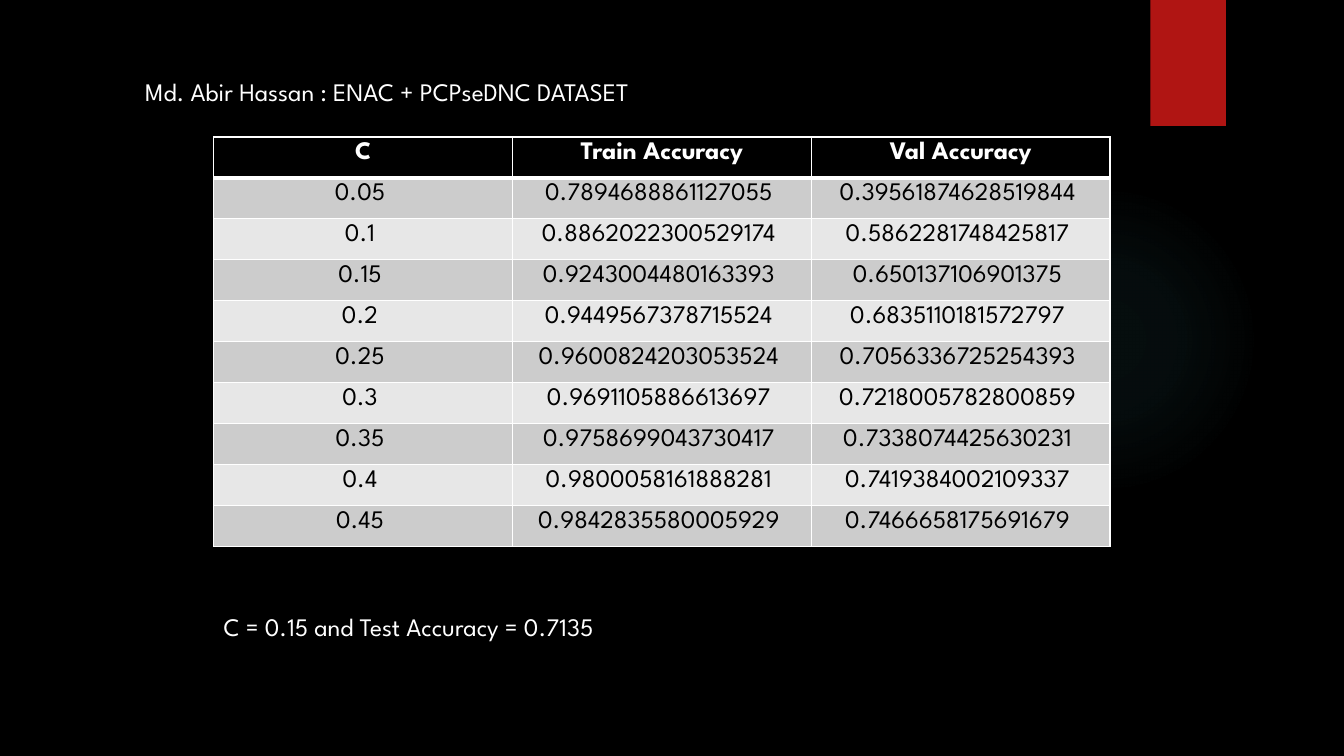
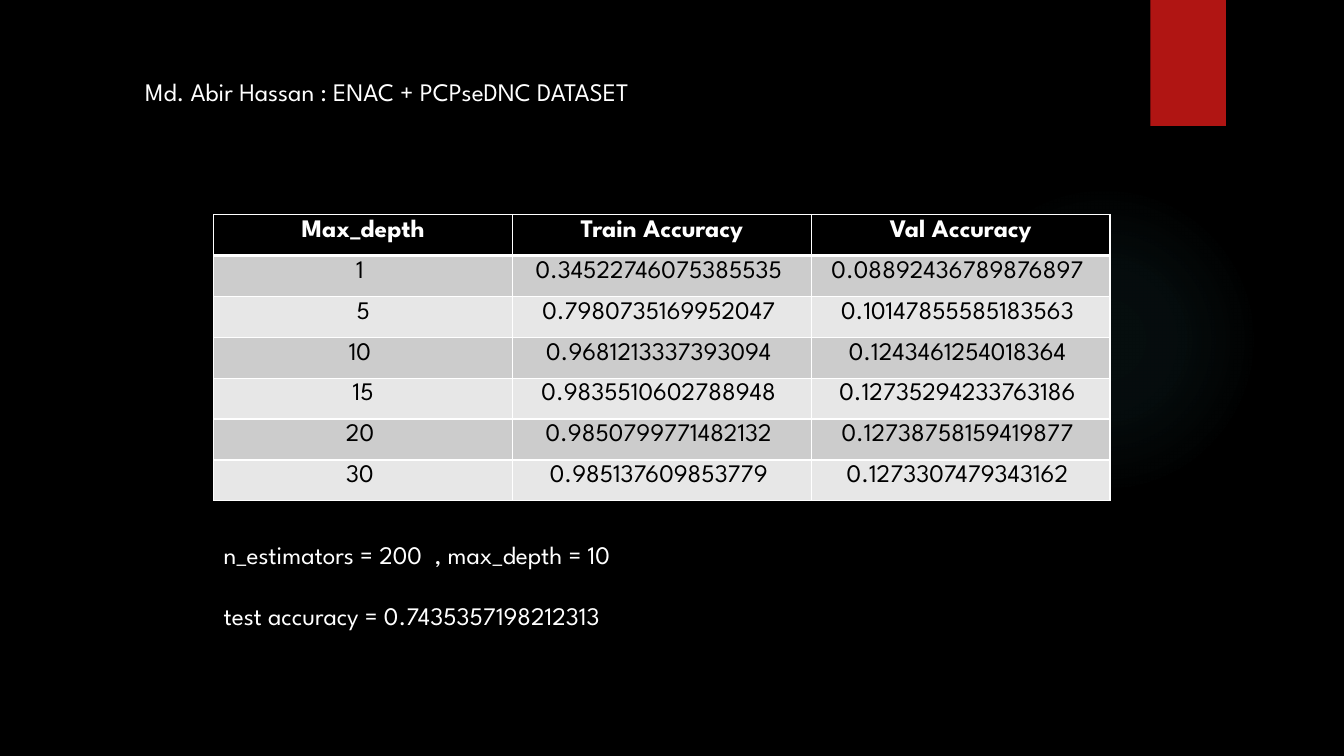
from pptx import Presentation
from pptx import util as u
from pptx.dml.color import RGBColor
from pptx.enum import shapes, text
from pptx.oxml import parse_xml
from pptx.oxml.ns import nsdecls

PX = 9144
COLORS = {
    "black": "000000",
    "white": "FFFFFF",
    "red": "B01513",
    "teal": "50B9C1",
    "dark_row": "CCCCCC",
    "light_row": "E7E7E7",
}
GLOW_STOPS = ((0, 7), (36, 6), (69, 0))
HEADING = "Md. Abir Hassan : ENAC + PCPseDNC DATASET"


def px(*lengths):
    return [u.Emu(length * PX) for length in lengths]


def rgb(name):
    return RGBColor.from_string(COLORS[name])


class Deck:
    font = "League Spartan"
    size = u.Pt(18)
    left = 212
    table_width = 889

    def __init__(self):
        self.prs = Presentation()
        self.prs.slide_width, self.prs.slide_height = px(1333, 750)
        self.slide = None

    def start(self, heading):
        self.slide = self.prs.slides.add_slide(self.prs.slide_layouts[5])
        background = self.slide.background.fill
        background.solid()
        background.fore_color.rgb = rgb("black")
        self.glow(941, 183, 308)
        self.block("red", 1141, 0, 75, 125)
        self.title(heading)

    def style(self, paragraph, color="white", bold=False, align=text.PP_ALIGN.LEFT):
        paragraph.alignment = align
        paragraph.font.name = self.font
        paragraph.font.size = self.size
        paragraph.font.bold = bold
        paragraph.font.color.rgb = rgb(color)

    def shape(self, kind, *box):
        shape = self.slide.shapes.add_shape(kind, *px(*box))
        shape.shadow.inherit = False
        shape.line.fill.background()
        return shape

    def block(self, color, *box):
        fill = self.shape(shapes.MSO_SHAPE.RECTANGLE, *box).fill
        fill.solid()
        fill.fore_color.rgb = rgb(color)

    def glow(self, left, top, diameter):
        ellipse = self.shape(shapes.MSO_SHAPE.OVAL, left, top, diameter, diameter)
        stops = "".join(
            f'<a:gs pos="{position * 1000}"><a:srgbClr val="{COLORS["teal"]}">'
            f'<a:alpha val="{alpha * 1000}"/></a:srgbClr></a:gs>'
            for position, alpha in GLOW_STOPS
        )
        gradient = parse_xml(
            f'<a:gradFill {nsdecls("a")} rotWithShape="1"><a:gsLst>{stops}</a:gsLst>'
            '<a:path path="circle"><a:fillToRect l="50000" t="50000" r="50000" b="50000"/>'
            "</a:path></a:gradFill>"
        )
        ellipse.fill.background()
        properties = ellipse.fill._xPr
        properties.replace(properties.find("{*}noFill"), gradient)

    def title(self, heading):
        title = self.slide.shapes.title
        title.left, title.top, title.width, title.height = px(134, 71, 700, 40)
        frame = title.text_frame
        frame.text = heading
        frame.vertical_anchor = text.MSO_ANCHOR.TOP
        frame.auto_size = text.MSO_AUTO_SIZE.NONE
        self.style(frame.paragraphs[0])

    def note(self, top, width, height, *lines):
        box = self.slide.shapes.add_textbox(*px(self.left, top, width, height))
        frame = box.text_frame
        frame.word_wrap = True
        frame.text = "\n".join(lines)
        for index, paragraph in enumerate(frame.paragraphs):
            self.style(paragraph)
            if index:
                paragraph.space_before = u.Pt(21.8)

    def borders(self, cell, top, bottom):
        properties = cell._tc.get_or_add_tcPr()
        for side, points in (("L", 1), ("R", 1), ("T", top), ("B", bottom)):
            properties.append(parse_xml(
                f'<a:ln{side} {nsdecls("a")} w="{points * 12700}"><a:solidFill>'
                f'<a:srgbClr val="{COLORS["white"]}"/></a:solidFill></a:ln{side}>'
            ))

    def table(self, top, height, rows):
        box = px(self.left, top, self.table_width, height)
        table = self.slide.shapes.add_table(len(rows), len(rows[0]), *box).table
        for number, values in enumerate(rows):
            header = number == 0
            band = "black" if header else "dark_row" if number % 2 else "light_row"
            for cell, value in zip(table.rows[number].cells, values):
                cell.text = value
                cell.vertical_anchor = text.MSO_ANCHOR.TOP
                self.borders(cell, 3 if number == 1 else 1, 3 if header else 1)
                cell.fill.solid()
                cell.fill.fore_color.rgb = rgb(band)
                self.style(cell.text_frame.paragraphs[0], "white" if header else "black",
                           header, text.PP_ALIGN.CENTER)


REGULARIZATION = (
    ("C", "Train Accuracy", "Val Accuracy"),
    ("0.05 ", "0.7894688861127055 ", "0.39561874628519844 "),
    ("0.1 ", "0.8862022300529174 ", "0.5862281748425817 "),
    ("0.15 ", "0.9243004480163393 ", "0.650137106901375 "),
    ("0.2 ", "0.9449567378715524 ", "0.6835110181572797 "),
    ("0.25 ", "0.9600824203053524 ", "0.7056336725254393 "),
    ("0.3 ", "0.9691105886613697 ", "0.7218005782800859 "),
    ("0.35 ", "0.9758699043730417 ", "0.7338074425630231 "),
    ("0.4 ", "0.9800058161888281 ", "0.7419384002109337 "),
    ("0.45 ", "0.9842835580005929 ", "0.7466658175691679 "),
)
TREE_DEPTH = (
    ("Max_depth", "Train Accuracy", "Val Accuracy"),
    ("1 ", "0.34522746075385535 ", "0.08892436789876897 "),
    ("5", "0.7980735169952047 ", "0.10147855585183563 "),
    ("10 ", "0.9681213337393094 ", "0.1243461254018364 "),
    ("15", "0.9835510602788948 ", "0.12735294233763186 "),
    ("20 ", "0.9850799771482132 ", "0.12738758159419877 "),
    ("30 ", "0.985137609853779 ", "0.1273307479343162 "),
)


def main():
    deck = Deck()

    deck.start(HEADING)
    deck.table(136, 406, REGULARIZATION)
    deck.note(602, 512, 40, "C = 0.15 and Test Accuracy = 0.7135")

    deck.start(HEADING)
    deck.table(213, 284, TREE_DEPTH)
    deck.note(530, 1003, 101, "n_estimators = 200  , max_depth = 10",
              "test accuracy = 0.7435357198212313")

    deck.prs.save("out.pptx")


if __name__ == "__main__":
    main()
